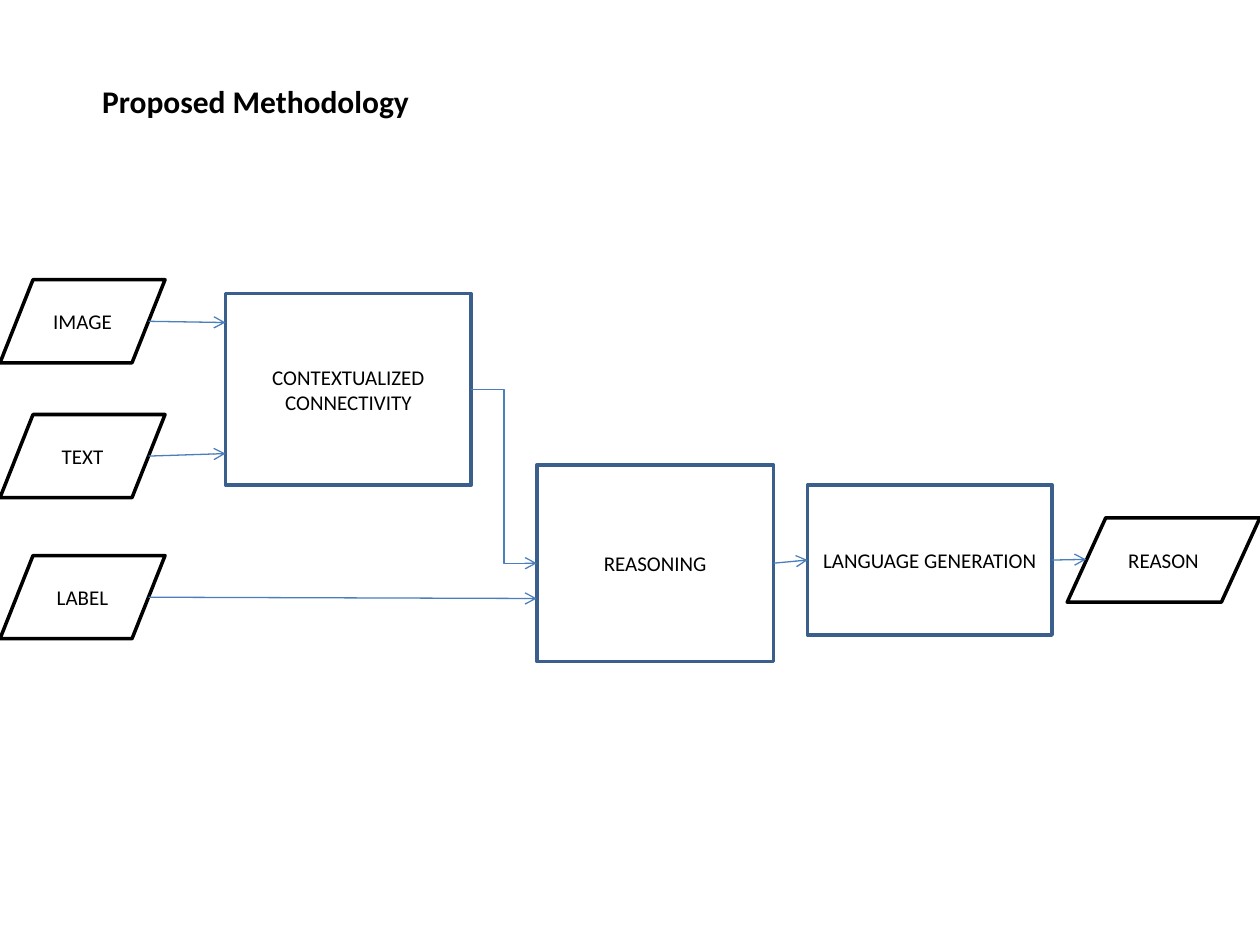
from lxml import etree
from pptx import Presentation
from pptx.dml.color import RGBColor
from pptx.enum import shapes, text
from pptx.oxml.ns import qn
from pptx.util import Inches, Pt

TITLE = "Proposed Methodology"
BLACK, WHITE, BORDER, ARROW = "000000", "FFFFFF", "3A5F8C", "4B7EBC"

# Content: label -> left, top, width, height
DATA = {
    "IMAGE": (0, 2.22, 1.31, 0.66),
    "TEXT": (0, 3.29, 1.31, 0.66),
    "LABEL": (0, 4.41, 1.31, 0.66),
    "REASON": (8.47, 4.11, 1.53, 0.67),
}
STEPS = {
    "CONTEXTUALIZED CONNECTIVITY": (1.79, 2.33, 1.95, 1.52),
    "REASONING": (4.26, 3.69, 1.88, 1.56),
    "LANGUAGE GENERATION": (6.41, 3.85, 1.94, 1.19),
}
# Arrows: a point, or the name of a step joined at its side
ARROWS = [
    ((1.18, 2.55), (1.79, 2.56)),
    ((1.18, 3.62), (1.79, 3.6)),
    ("CONTEXTUALIZED CONNECTIVITY", "REASONING"),
    ((1.18, 4.74), (4.26, 4.75)),
    ("REASONING", "LANGUAGE GENERATION"),
    ("LANGUAGE GENERATION", (8.62, 4.44)),
]
ELBOW_FROM = "CONTEXTUALIZED CONNECTIVITY"
LEFT, RIGHT = 1, 3


def color(value):
    return RGBColor.from_string(value)


def style_font(font, size, bold=False):
    font.name, font.size, font.bold = "Calibri", Pt(size), bold
    font.color.rgb = color(BLACK)


def add_box(s, kind, label, place, border):
    box = s.shapes.add_shape(kind, *map(Inches, place))
    box.shadow.inherit = False
    box.fill.solid()
    box.fill.fore_color.rgb = color(WHITE)
    box.line.color.rgb = color(border)
    box.line.width = Pt(2)
    tf = box.text_frame
    tf.word_wrap = True
    tf.vertical_anchor = text.MSO_ANCHOR.MIDDLE
    p = tf.paragraphs[0]
    p.text = label
    p.alignment = text.PP_ALIGN.CENTER
    style_font(p.font, 12)
    return box


def add_arrow(s, start, end, boxes):
    kind = shapes.MSO_CONNECTOR.ELBOW if start == ELBOW_FROM else shapes.MSO_CONNECTOR.STRAIGHT
    points = [(0, 0) if isinstance(e, str) else e for e in (start, end)]
    line = s.shapes.add_connector(kind, *[Inches(v) for point in points for v in point])
    if start in boxes:
        line.begin_connect(boxes[start], RIGHT)
    if end in boxes:
        line.end_connect(boxes[end], LEFT)
    line.line.color.rgb = color(ARROW)
    line.line.width = Pt(0.75)
    etree.SubElement(line.line._get_or_add_ln(), qn("a:tailEnd"), type="arrow")
    etree.SubElement(line._element.spPr, qn("a:effectLst"))


def main():
    prs = Presentation()
    prs.slide_width, prs.slide_height = Inches(10), Inches(7.5)
    s = prs.slides.add_slide(prs.slide_layouts[5])

    # Title
    title = s.shapes.title
    title.left, title.top, title.width, title.height = map(Inches, (0.71, 0.6, 4.01, 0.4))
    tf = title.text_frame
    tf.auto_size = text.MSO_AUTO_SIZE.NONE
    tf.vertical_anchor = text.MSO_ANCHOR.TOP
    p = tf.paragraphs[0]
    p.text = TITLE
    p.alignment = text.PP_ALIGN.LEFT
    style_font(p.font, 18, bold=True)

    # Inputs, output and processing steps
    for label, place in DATA.items():
        add_box(s, shapes.MSO_SHAPE.FLOWCHART_DATA, label, place, BLACK)
    boxes = {label: add_box(s, shapes.MSO_SHAPE.RECTANGLE, label, place, BORDER)
             for label, place in STEPS.items()}

    # Flow
    for start, end in ARROWS:
        add_arrow(s, start, end, boxes)

    prs.save("out.pptx")


if __name__ == "__main__":
    main()
